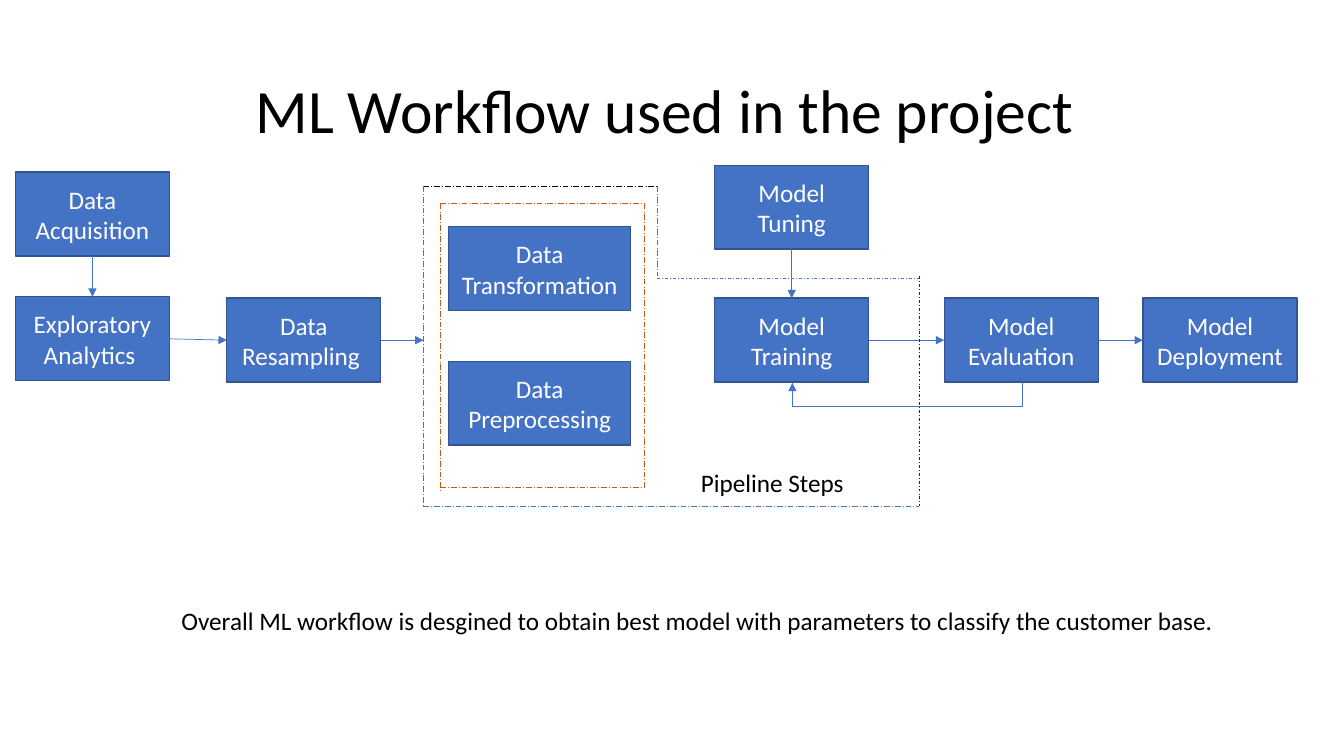
from lxml.etree import SubElement
from pptx import Presentation
from pptx.dml.color import RGBColor
from pptx.enum.dml import MSO_LINE
from pptx.enum.shapes import MSO_CONNECTOR, MSO_SHAPE
from pptx.enum.text import MSO_ANCHOR, PP_ALIGN
from pptx.oxml.ns import qn
from pptx.util import Pt

BLUE = RGBColor(0x44, 0x72, 0xC4)
DARK_BLUE = RGBColor(0x32, 0x54, 0x91)
ORANGE = RGBColor(0xC5, 0x5A, 0x11)
CHARCOAL = RGBColor(0x26, 0x26, 0x26)
BLACK = RGBColor(0, 0, 0)
WHITE = RGBColor(0xFF, 0xFF, 0xFF)
TOP, LEFT, BOTTOM, RIGHT = range(4)

prs = Presentation()
prs.slide_width, prs.slide_height = Pt(960), Pt(540)
slide = prs.slides.add_slide(prs.slide_layouts[5])


def write(frame, text, size, color, align):
    frame.text = text
    paragraph = frame.paragraphs[0]
    paragraph.alignment = align
    font = paragraph.runs[0].font
    font.name, font.size, font.color.rgb = "Calibri", Pt(size), color


def add_line(start, end, color=BLUE, dash=None, arrow=False,
             kind=MSO_CONNECTOR.STRAIGHT):
    line = slide.shapes.add_connector(kind, *map(Pt, start + end))
    line.line.color.rgb = color
    line.line.width = Pt(0.5)
    if dash:
        line.line.dash_style = dash
    properties = line._element.spPr
    if arrow:
        SubElement(properties.find(qn("a:ln")), qn("a:tailEnd"), type="triangle")
    SubElement(properties, qn("a:effectLst"))
    return line


# Title
title = slide.shapes.title
title.left, title.top, title.width, title.height = Pt(66), Pt(28.75), Pt(828), Pt(104.4)
title.text_frame.vertical_anchor = MSO_ANCHOR.MIDDLE
write(title.text_frame, "ML Workflow used in the project ", 44, BLACK, PP_ALIGN.CENTER)
title.text_frame.paragraphs[0].line_spacing = 0.9

# Workflow steps: left, top, width
STEP_HEIGHT = 60
steps = {}
for name, left, top, width in [
    ("Data Acquisition", 11, 123, 110),
    ("Exploratory Analytics ", 11, 212, 110),
    ("Data Resampling ", 162, 213, 110),
    ("Data Transformation", 320.5, 162, 130),
    ("Data Preprocessing", 320.5, 258, 130),
    ("Model Tuning", 510.5, 118, 110),
    ("Model Training", 510.5, 213, 110),
    ("Model Evaluation", 674.5, 213, 110),
    ("Model Deployment", 816.5, 213, 110),
]:
    step = slide.shapes.add_shape(
        MSO_SHAPE.RECTANGLE, Pt(left), Pt(top), Pt(width), Pt(STEP_HEIGHT))
    step.shadow.inherit = False
    step.fill.solid()
    step.fill.fore_color.rgb = BLUE
    step.line.color.rgb = DARK_BLUE
    step.line.width = Pt(1)
    step.text_frame.word_wrap = True
    step.text_frame.vertical_anchor = MSO_ANCHOR.MIDDLE
    write(step.text_frame, name, 18, WHITE, PP_ALIGN.CENTER)
    steps[name.strip()] = step

# Arrows from step to step
for source, source_side, target, target_side in [
    ("Data Acquisition", BOTTOM, "Exploratory Analytics", TOP),
    ("Exploratory Analytics", RIGHT, "Data Resampling", LEFT),
    ("Model Tuning", BOTTOM, "Model Training", TOP),
    ("Model Training", RIGHT, "Model Evaluation", LEFT),
    ("Model Evaluation", RIGHT, "Model Deployment", LEFT),
]:
    arrow = add_line((0, 0), (0, 0), arrow=True)
    arrow.begin_connect(steps[source], source_side)
    arrow.end_connect(steps[target], target_side)

# Arrow into the pipeline
into_pipeline = add_line((272, 243), (302.5, 243), arrow=True)
into_pipeline.begin_connect(steps["Data Resampling"], RIGHT)

# Feedback from evaluation to training: a quarter-turned elbow, 18 pt deep
feedback = add_line((647.5, 191), (648.5, 355), arrow=True, kind=MSO_CONNECTOR.ELBOW)
feedback_properties = feedback._element.spPr
feedback_properties.find(qn("a:xfrm")).set("rot", "5400000")
adjustments = feedback_properties.find(qn("a:prstGeom")).get_or_add_avLst()
SubElement(adjustments, qn("a:gd"), name="adj1", fmla="val 1800000")

# Dashed outlines of the pipeline and of the data preparation inside it
for start, end, color, dash in [
    ((302.5, 133), (469.5, 133), BLACK, MSO_LINE.LONG_DASH_DOT),
    ((302.5, 133), (302.5, 361.5), BLUE, MSO_LINE.LONG_DASH_DOT),
    ((302.5, 361.5), (656.5, 361.5), BLUE, MSO_LINE.LONG_DASH_DOT),
    ((469.5, 133), (469.5, 197.5), BLUE, MSO_LINE.LONG_DASH_DOT),
    ((469.5, 198.5), (656.5, 198.5), BLUE, MSO_LINE.DASH_DOT),
    ((656.5, 197.5), (656.5, 361.5), CHARCOAL, MSO_LINE.DASH_DOT),
    ((314.5, 145.5), (460, 145.5), ORANGE, MSO_LINE.LONG_DASH_DOT),
    ((314.5, 145.5), (314.5, 352), BLUE, MSO_LINE.LONG_DASH_DOT),
    ((314.5, 145.5), (314.5, 348), ORANGE, MSO_LINE.LONG_DASH_DOT),
    ((314.5, 348), (460, 348), ORANGE, MSO_LINE.LONG_DASH_DOT),
    ((460, 145.5), (460, 348), ORANGE, MSO_LINE.LONG_DASH_DOT),
]:
    add_line(start, end, color, dash)

# Pipeline label and summary
for text, left, top, width in [
    ("Pipeline Steps", 493.5, 330, 118),
    ("Overall ML workflow is desgined to obtain best model with parameters "
     "to classify the customer base.", 122.5, 428.5, 776),
]:
    caption = slide.shapes.add_textbox(Pt(left), Pt(top), Pt(width), Pt(29))
    caption.text_frame.word_wrap = False
    write(caption.text_frame, text, 18, BLACK, PP_ALIGN.LEFT)

prs.save("out.pptx")
